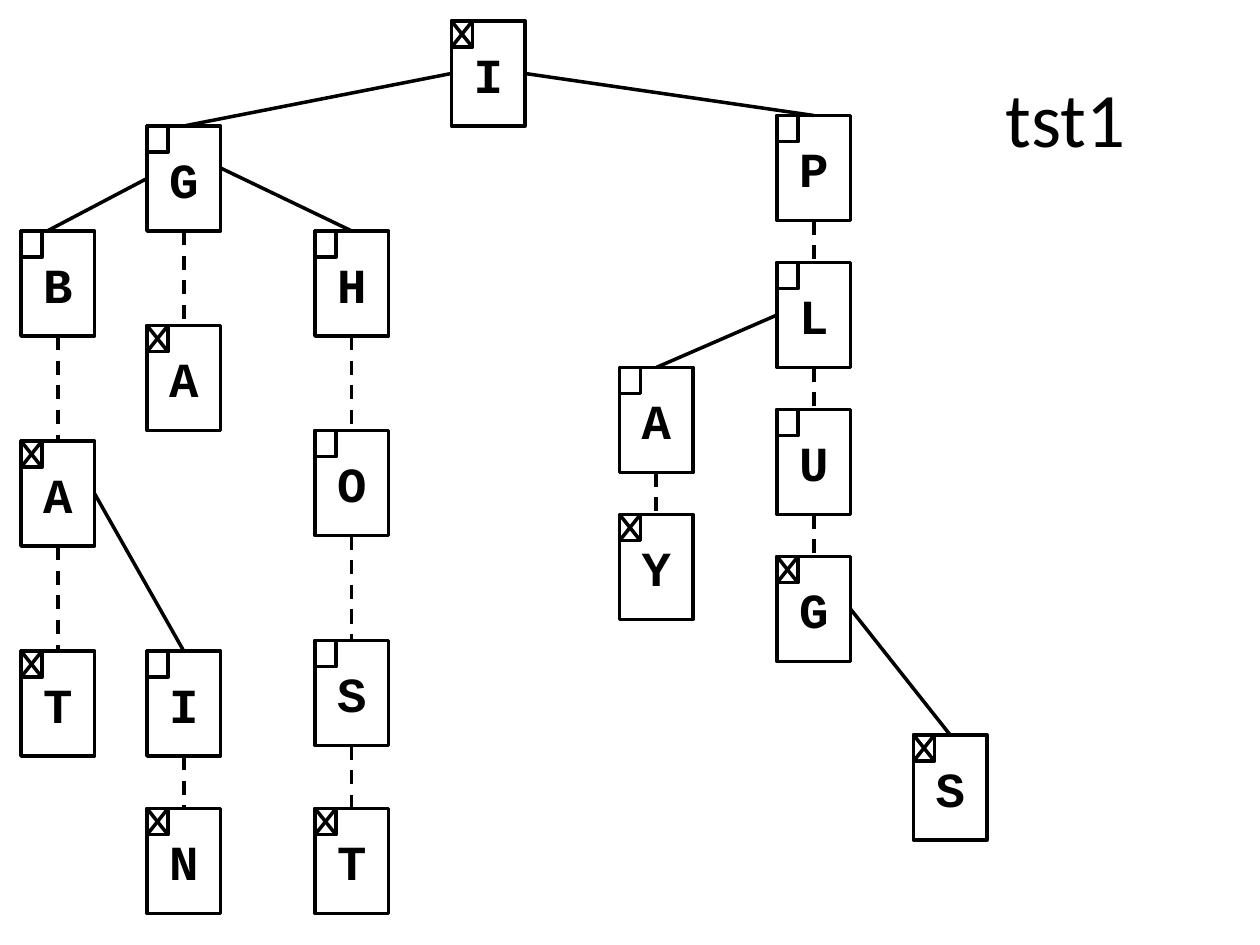
from lxml import etree
from pptx import Presentation
from pptx.dml.color import RGBColor
from pptx.enum.dml import MSO_LINE
from pptx.enum.shapes import MSO_CONNECTOR, MSO_SHAPE
from pptx.enum.text import MSO_ANCHOR, PP_ALIGN
from pptx.oxml.ns import qn
from pptx.util import Pt

RECTANGLE = MSO_SHAPE.RECTANGLE
STRAIGHT = MSO_CONNECTOR.STRAIGHT
DASH = MSO_LINE.DASH
MIDDLE = MSO_ANCHOR.MIDDLE
CENTER = PP_ALIGN.CENTER

BLACK = "000000"
NODE_WIDTH, NODE_HEIGHT = 42, 60
FLAG_WIDTH, FLAG_HEIGHT = 12, 15

PREFIXES = {
    "I": (258, 12),
    "G": (84, 72),
    "GA": (84, 186),
    "B": (12, 132),
    "BA": (12, 252),
    "BAT": (12, 372),
    "BI": (84, 372),
    "BIN": (84, 462),
    "H": (180, 132),
    "HO": (180, 246),
    "HOS": (180, 366),
    "HOST": (180, 462),
    "P": (444, 66),
    "PL": (444, 150),
    "PLU": (444, 234),
    "PLUG": (444, 318),
    "PA": (354, 210),
    "PAY": (354, 294),
    "PLUS": (522, 420),
}
WORDS = {"I", "GA", "BA", "BAT", "BIN", "HOST", "PLUG", "PAY", "PLUS"}

# parent, child, shift at parent, shift at child
SIBLING_LINKS = [
    ("I", "G", 0, 0),
    ("I", "P", 0, 0),
    ("G", "B", 0, -6),
    ("G", "H", -6, 0),
    ("BA", "BI", 0, 0),
    ("PL", "PA", 0, 0),
    ("PLUG", "PLUS", 0, 0),
]
NEXT_LETTER_LINKS = [
    ("G", "GA"), ("B", "BA"), ("BA", "BAT"), ("BI", "BIN"),
    ("H", "HO"), ("HO", "HOS"), ("HOS", "HOST"),
    ("P", "PL"), ("PL", "PLU"), ("PLU", "PLUG"), ("PA", "PAY"),
]


def color(hex_value):
    return RGBColor.from_string(hex_value)


def add_line(slide, start, end, dash=None):
    line = slide.shapes.add_connector(STRAIGHT, *map(Pt, (*start, *end)))
    line.line.color.rgb = color(BLACK)
    line.line.width = Pt(2)
    if dash:
        line.line.dash_style = dash
    etree.SubElement(line._element.spPr, qn("a:effectLst"))


def add_box(slide, left, top, width, height):
    box = slide.shapes.add_shape(RECTANGLE, *map(Pt, (left, top, width, height)))
    box.shadow.inherit = False
    box.fill.background()
    box.line.color.rgb = color(BLACK)
    box.line.width = Pt(2)
    return box


def write(frame, text, font_name, size, bold):
    frame.word_wrap = True
    frame.vertical_anchor = MIDDLE
    paragraph = frame.paragraphs[0]
    paragraph.alignment = CENTER
    run = paragraph.add_run()
    run.text = text
    run.font.name = font_name
    run.font.size = Pt(size)
    run.font.bold = bold
    run.font.color.rgb = color(BLACK)


def add_node(slide, prefix):
    left, top = PREFIXES[prefix]
    letter = add_box(slide, left, top, NODE_WIDTH, NODE_HEIGHT)
    write(letter.text_frame, prefix[-1], "Courier New", 28, True)
    add_box(slide, left, top, FLAG_WIDTH, FLAG_HEIGHT)
    if prefix in WORDS:
        right, bottom = left + FLAG_WIDTH, top + FLAG_HEIGHT
        add_line(slide, (left, top), (right, bottom))
        add_line(slide, (right, top), (left, bottom))


def top_center(prefix):
    left, top = PREFIXES[prefix]
    return left + NODE_WIDTH / 2, top


def add_sibling_link(slide, parent, child, parent_shift, child_shift):
    left, top = PREFIXES[parent]
    child_x, child_y = top_center(child)
    side = left + NODE_WIDTH if child_x > left else left
    add_line(slide, (side, top + NODE_HEIGHT / 2 + parent_shift),
             (child_x + child_shift, child_y))


def add_next_letter_link(slide, parent, child):
    x, top = top_center(parent)
    add_line(slide, (x, top + NODE_HEIGHT), top_center(child), DASH)


def add_title(slide, text):
    title = slide.shapes.add_textbox(Pt(534), Pt(21.6), Pt(150), Pt(90))
    write(title.text_frame, text, "Calibri", 44, False)


def main():
    presentation = Presentation()
    presentation.slide_width, presentation.slide_height = Pt(720), Pt(540)
    slide = presentation.slides.add_slide(presentation.slide_layouts[6])
    for prefix in PREFIXES:
        add_node(slide, prefix)
    for link in SIBLING_LINKS:
        add_sibling_link(slide, *link)
    for link in NEXT_LETTER_LINKS:
        add_next_letter_link(slide, *link)
    add_title(slide, "tst1")
    presentation.save("out.pptx")


if __name__ == "__main__":
    main()
